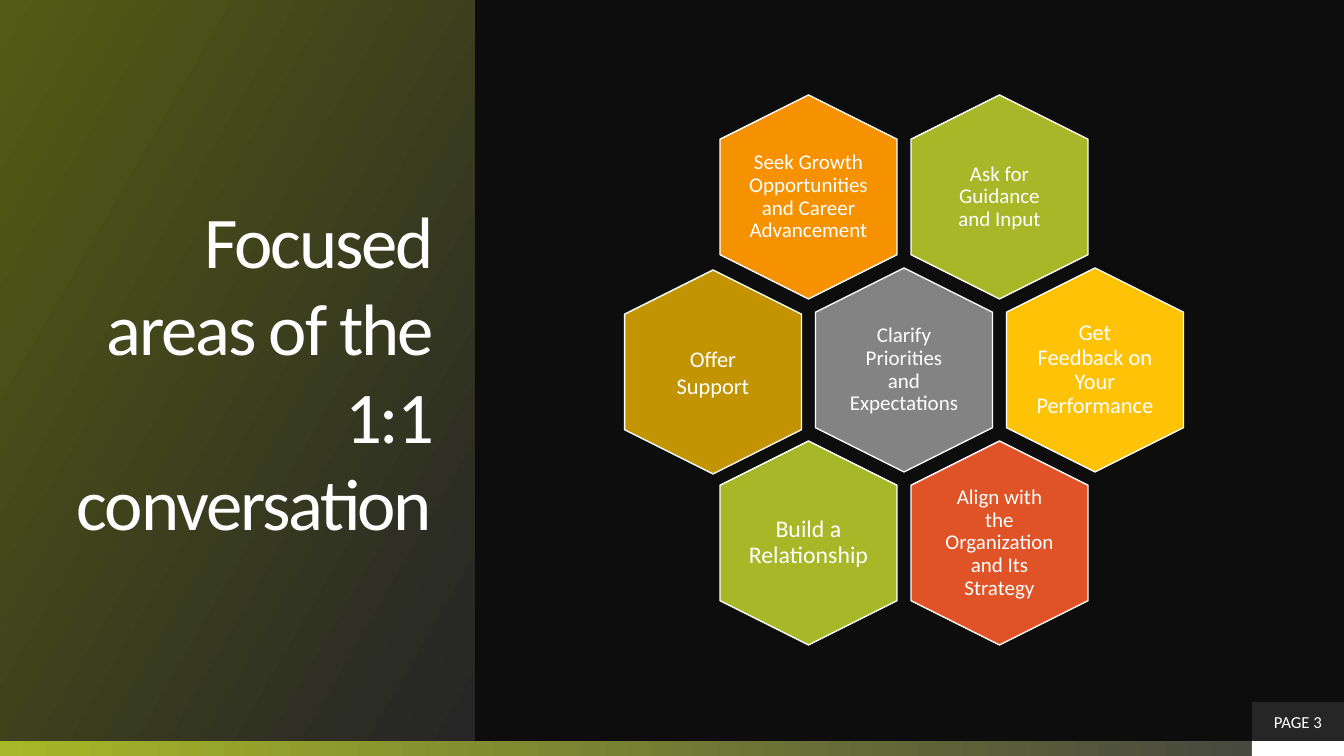
from pptx import Presentation
from pptx.dml.color import RGBColor
from pptx.enum.shapes import MSO_SHAPE
from pptx.enum.text import MSO_ANCHOR, MSO_AUTO_SIZE, PP_ALIGN
from pptx.util import Pt

EMU_PER_PX = 914400 / 100.8
PAGE_WIDTH, PAGE_HEIGHT = 1344, 756
FOOTER_TOP, FOOTER_HEIGHT = 741, 15
PANEL_WIDTH = 475
TAB_LEFT, TAB_WIDTH = 1252, 92

# Honeycomb: a column step is half the distance between neighbours in a row.
FIRST_X, FIRST_Y = 713, 197
NEIGHBOUR_STEP, ROW_STEP = 191, 173
HEXAGON_LENGTH, HEXAGON_BREADTH = 204, 177
LABEL_WIDTH, LABEL_HEIGHT = 122, 140

# text, column, row, colour, font size, inset
FOCUS_AREAS = [
    ("Ask for Guidance and Input", 3, 0, "A6B727", 15, 6),
    ("Seek Growth Opportunities and Career Advancement", 1, 0, "F69200", 15, 0),
    ("Clarify Priorities and Expectations", 2, 1, "838383", 15, 6),
    ("Get Feedback on Your Performance", 4, 1, "FEC306", 16, 0),
    ("Align with the Organization and Its Strategy", 3, 2, "DF5327", 15, 6),
    ("Build a Relationship", 1, 2, "A6B727", 17, 0),
]


def px(length):
    return round(length * EMU_PER_PX)


def colour(hex_string):
    return RGBColor.from_string(hex_string)


class SlideBuilder:
    font_name = "Calibri"
    text_colour = "FFFFFF"

    def __init__(self, page):
        self.page = page

    def background(self, hex_string):
        fill = self.page.background.fill
        fill.solid()
        fill.fore_color.rgb = colour(hex_string)

    def gradient(self, shape, stops, angle):
        """Fill with two (position, colour) stops; angle runs counter-clockwise."""
        shape.fill.gradient()
        shape.fill.gradient_angle = angle
        for stop, (position, hex_string) in zip(shape.fill.gradient_stops, stops):
            stop.position = position
            stop.color.rgb = colour(hex_string)

    def shape(self, kind, left, top, width, height, fill=None):
        shape = self.page.shapes.add_shape(
            kind, px(left), px(top), px(width), px(height))
        shape.shadow.inherit = False
        shape.line.fill.background()
        if fill:
            shape.fill.solid()
            shape.fill.fore_color.rgb = colour(fill)
        return shape

    def rectangle(self, left, top, width, height, fill=None):
        return self.shape(MSO_SHAPE.RECTANGLE, left, top, width, height, fill)

    def set_text(self, shape, text, size, align=PP_ALIGN.CENTER, inset=(0, 0), spacing=1.0):
        """Set one middle-anchored paragraph; inset is (sides, top and bottom)."""
        frame = shape.text_frame
        frame.word_wrap = True
        frame.auto_size = MSO_AUTO_SIZE.NONE
        frame.vertical_anchor = MSO_ANCHOR.MIDDLE
        frame.margin_left = frame.margin_right = px(inset[0])
        frame.margin_top = frame.margin_bottom = px(inset[1])
        para = frame.paragraphs[0]
        para.text = text
        para.alignment = align
        para.line_spacing = spacing
        para.font.name = self.font_name
        para.font.size = Pt(size)
        para.font.color.rgb = colour(self.text_colour)
        return para

    def title(self, text, left, top, width, height):
        title = self.page.shapes.title
        title.left, title.top = px(left), px(top)
        title.width, title.height = px(width), px(height)
        self.gradient(title, [(0.01, "262626"), (1, "535C14")], 150)
        para = self.set_text(title, text, 52, PP_ALIGN.RIGHT, (43, 0))
        para.runs[0].font._element.set("spc", "-150")

    def hexagon(self, text, centre_x, centre_y, fill, size, inset, spacing=0.9):
        hexagon = self.shape(
            MSO_SHAPE.HEXAGON,
            centre_x - HEXAGON_LENGTH / 2, centre_y - HEXAGON_BREADTH / 2,
            HEXAGON_LENGTH, HEXAGON_BREADTH, fill)
        hexagon.rotation = 90
        hexagon.adjustments[0] = 0.25
        hexagon.line.color.rgb = colour("FFFFFF")
        hexagon.line.width = Pt(1)
        label = self.page.shapes.add_textbox(
            px(centre_x - LABEL_WIDTH / 2), px(centre_y - LABEL_HEIGHT / 2),
            px(LABEL_WIDTH), px(LABEL_HEIGHT))
        self.set_text(label, text, size, inset=(inset, inset), spacing=spacing)


def main():
    deck = Presentation()
    deck.slide_width, deck.slide_height = px(PAGE_WIDTH), px(PAGE_HEIGHT)
    builder = SlideBuilder(deck.slides.add_slide(deck.slide_layouts[5]))
    builder.background("0D0D0D")

    footer = builder.rectangle(0, FOOTER_TOP, PAGE_WIDTH, FOOTER_HEIGHT)
    builder.gradient(footer, [(0, "A6B727"), (1, "404040")], 0)
    builder.rectangle(TAB_LEFT, FOOTER_TOP, TAB_WIDTH, FOOTER_HEIGHT, "FFFFFF")
    builder.title("Focused areas of the 1:1 conversation", 0, 0, PANEL_WIDTH, FOOTER_TOP)

    for text, column, row, fill, size, inset in FOCUS_AREAS:
        builder.hexagon(
            text, FIRST_X + column * NEIGHBOUR_STEP / 2, FIRST_Y + row * ROW_STEP,
            fill, size, inset)
    builder.hexagon("Offer Support", FIRST_X, 372, "C29401", 16, 6, spacing=1.0)

    page_tab = builder.rectangle(TAB_LEFT, 702, TAB_WIDTH, 39, "262626")
    builder.set_text(page_tab, "PAGE 3", 12, inset=(10, 5))

    deck.save("out.pptx")


if __name__ == "__main__":
    main()
